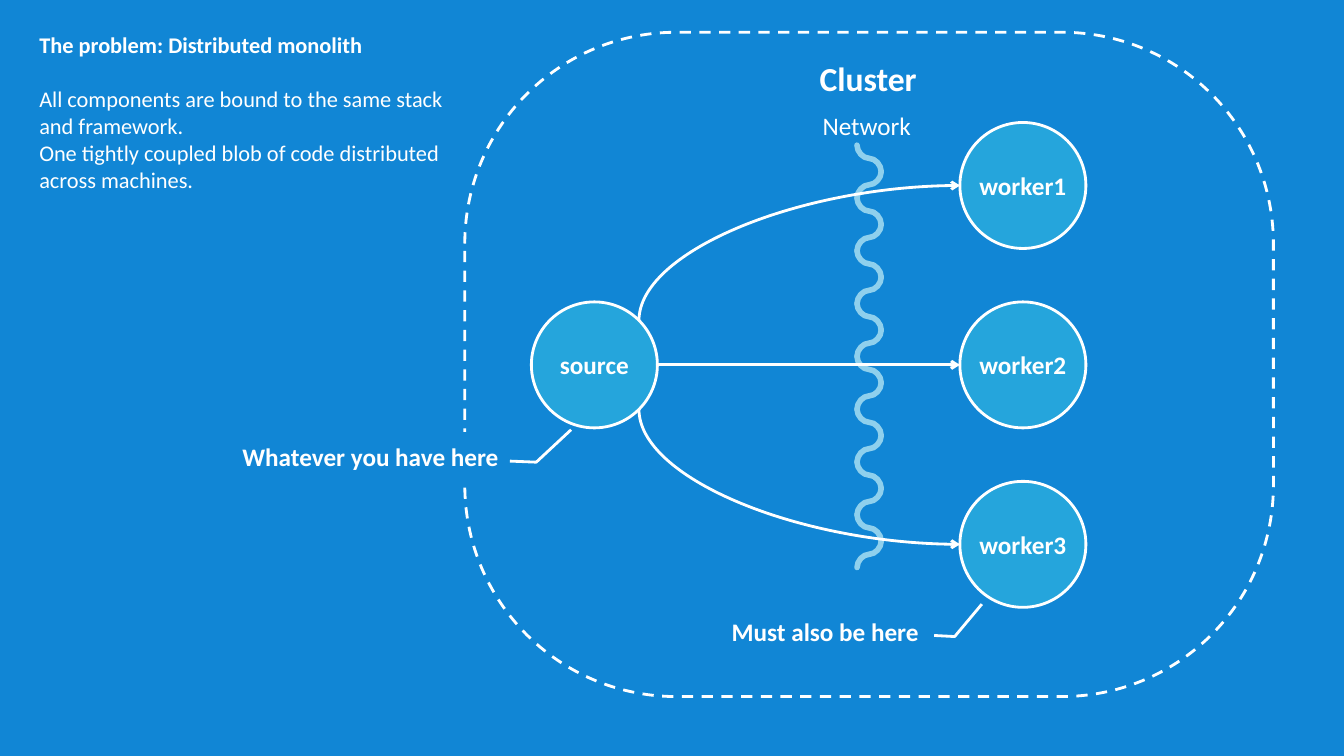
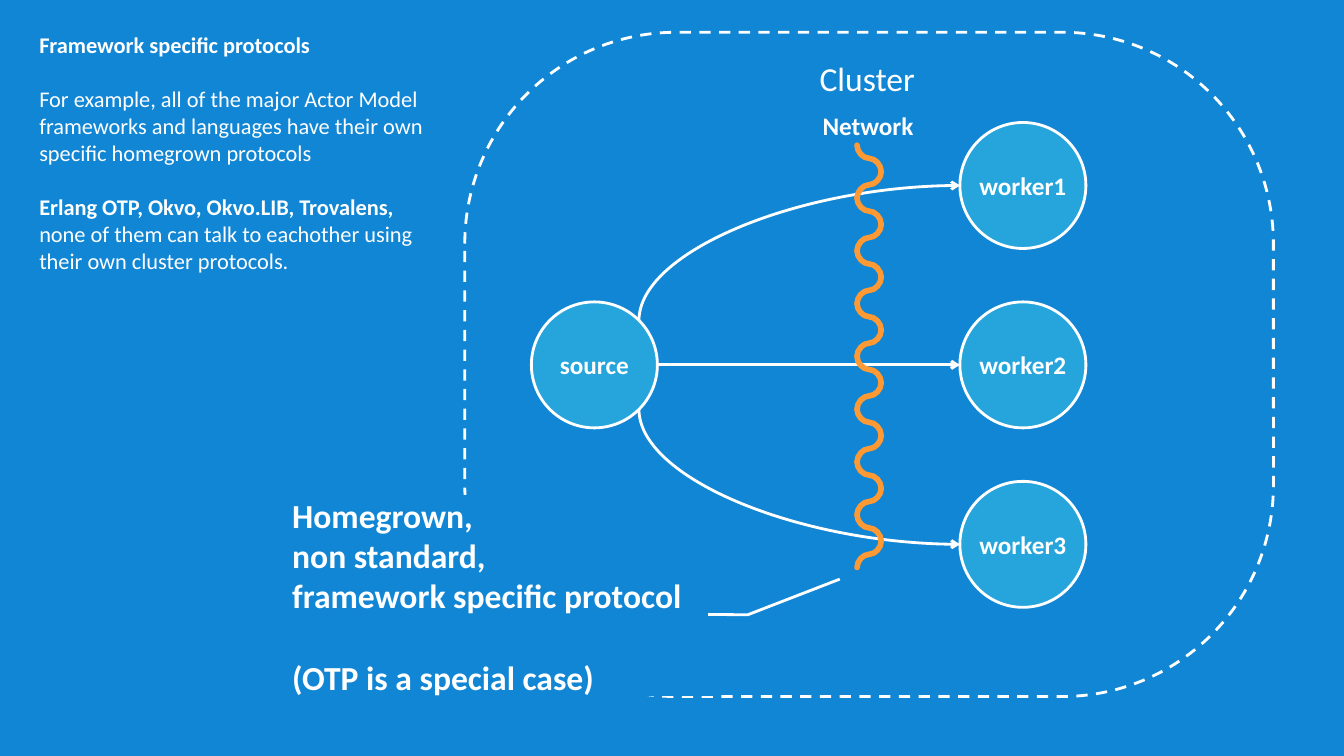
"""Two slides on cluster coupling: a distributed monolith and its framework specific protocols."""
from math import sqrt

from lxml import etree
from pptx import Presentation
from pptx.dml.color import RGBColor
from pptx.enum.dml import MSO_LINE
from pptx.enum.shapes import MSO_CONNECTOR, MSO_SHAPE
from pptx.enum.text import MSO_ANCHOR, MSO_AUTO_SIZE, PP_ALIGN
from pptx.oxml.ns import qn
from pptx.util import Inches, Pt

OVAL, ROUNDED = MSO_SHAPE.OVAL, MSO_SHAPE.ROUNDED_RECTANGLE
CALLOUT = MSO_SHAPE.LINE_CALLOUT_2_NO_BORDER
STRAIGHT, CURVE = MSO_CONNECTOR.STRAIGHT, MSO_CONNECTOR.CURVE
LEFT, CENTER, MIDDLE = PP_ALIGN.LEFT, PP_ALIGN.CENTER, MSO_ANCHOR.MIDDLE
GROW, DASH = MSO_AUTO_SIZE.SHAPE_TO_FIT_TEXT, MSO_LINE.DASH

COLORS = {"background": "1186D5", "node": "25A5DC", "white": "FFFFFF",
          "calm wave": "8FD0ED", "alert wave": "FF9933"}
FONT = "Calibri"
MARGINS = ("margin_left", "margin_top", "margin_right", "margin_bottom")
NODE_FRAME = {"vertical_anchor": MIDDLE, "word_wrap": True, **dict.fromkeys(MARGINS, 0)}
INTRO_FRAME = {"word_wrap": True, **dict.fromkeys(MARGINS, Inches(0.16))}
LABEL_FRAME = {"word_wrap": False, "auto_size": GROW}
CALLOUT_FRAME = {"vertical_anchor": MIDDLE, "word_wrap": True}

NODE = 1.25
MID_Y, ROW_PITCH = 3.62, 1.78
SOURCE_X, WORKER_X = 5.27, 9.52
DIAGONAL = NODE / 2 * sqrt(0.5)
WAVE_LEFT, WAVE_RIGHT, WAVE_TOP, WAVE_BOTTOM = 8.5, 8.74, 1.44, 5.63
WAVE_STEPS = 16
WAVE_STEP = (WAVE_BOTTOM - WAVE_TOP) / WAVE_STEPS
SITE_LEFT, SITE_LOWER_RIGHT, SITE_RIGHT, SITE_UPPER_RIGHT = 2, 5, 6, 7
DOWN_RIGHT = {"rot": 270, "flipH": 1}
DOWN_LEFT = {"rot": 90}
UP_RIGHT = {"rot": 90, "flipH": 1, "flipV": 1}


def block(slide, preset, box, frame_format, size=18, paragraphs=(), align=LEFT, fill=None):
    """Add a shape, or a text box when preset is None; a paragraph is (space before, runs)."""
    place = [Inches(length) for length in box]
    if preset is None:
        shape = slide.shapes.add_textbox(*place)
    else:
        shape = slide.shapes.add_shape(preset, *place)
        shape.shadow.inherit = False
        shape.line.color.rgb = RGBColor.from_string(COLORS["white"])
        shape.line.width = Pt(2)
        if fill:
            shape.fill.solid()
            shape.fill.fore_color.rgb = RGBColor.from_string(COLORS[fill])
        else:
            shape.fill.background()
    frame = shape.text_frame
    for name, value in frame_format.items():
        setattr(frame, name, value)
    for index, (gap, runs) in enumerate(paragraphs):
        paragraph = frame.add_paragraph() if index else frame.paragraphs[0]
        paragraph.alignment = align
        paragraph.space_before = Pt(gap)
        for text, bold in runs:
            run = paragraph.add_run()
            run.text = text
            run_format = {"name": FONT, "size": Pt(size), "bold": bold}
            for name, value in run_format.items():
                setattr(run.font, name, value)
            run.font.color.rgb = RGBColor.from_string(COLORS["white"])
    return shape


def link(shapes, start, end, color, width, turn=None, preset=None, glue=()):
    """Add a connector; a turned one leaves its start vertically, a glued one ends in an arrow."""
    (x1, y1), (x2, y2) = start, end
    if turn:
        center_x, center_y = (x1 + x2) / 2, (y1 + y2) / 2
        half_w, half_h = abs(y2 - y1) / 2, abs(x2 - x1) / 2
        x1, x2 = center_x - half_w, center_x + half_w
        y1, y2 = center_y - half_h, center_y + half_h
    line = shapes.add_connector(CURVE if turn else STRAIGHT,
                                Inches(x1), Inches(y1), Inches(x2), Inches(y2))
    line.line.color.rgb = RGBColor.from_string(COLORS[color])
    line.line.width = Pt(width)
    properties = line._element.spPr
    properties.find(qn("a:ln")).set("cap", "rnd")
    etree.SubElement(properties, qn("a:effectLst"))
    for name, value in (turn or {}).items():
        properties.find(qn("a:xfrm")).set(name, str(value * 60000 if name == "rot" else value))
    if preset:
        properties.find(qn("a:prstGeom")).set("prst", preset)
    if glue:
        etree.SubElement(properties.find(qn("a:ln")), qn("a:tailEnd"), type="arrow")
        joints = line._element.find(".//" + qn("p:cNvCxnSpPr"))
        for tag, (node, site) in zip(("a:stCxn", "a:endCxn"), glue):
            etree.SubElement(joints, qn(tag), id=str(node.shape_id), idx=str(site))


SLIDES = [
    {"wave": "calm wave", "wave in front": False, "emphasis": "Cluster",
     "intro": [(0, [("The problem: Distributed monolith", True)]),
               (19.5, [("All components are bound to the same stack and framework.", False)]),
               (0, [("One tightly coupled blob of code distributed across machines.", False)])],
     "callouts": [
         {"box": (2.26, 4.29, 2.83, 0.48), "size": 18, "align": CENTER,
          "leader": (0.593, 0.989, 0.615, 1.081, -0.056, 1.203),
          "paragraphs": [(0, [("Whatever you have here", True)])]},
         {"box": (7.08, 6.02, 2.21, 0.48), "size": 18, "align": CENTER,
          "leader": (0.593, 0.989, 0.615, 1.081, -0.056, 1.203),
          "paragraphs": [(0, [("Must also be here", True)])]}]},
    {"wave": "alert wave", "wave in front": True, "emphasis": "Network",
     "intro": [(0, [("Framework specific protocols", True)]),
               (19.5, [("For example, all of the major Actor Model frameworks and languages "
                        "have their own specific homegrown protocols", False)]),
               (19.5, [("Erlang OTP, Okvo, Okvo.LIB, Trovalens, ", True),
                       ("none of them can talk to eachother using their own cluster "
                        "protocols.", False)])],
     "callouts": [
         {"box": (2.8, 4.91, 4.27, 2), "size": 24, "align": LEFT,
          "leader": (0.593, 0.989, 0.595, 1.081, 0.418, 1.295),
          "paragraphs": [(0, [("Homegrown,", True)]),
                         (0, [("non standard,", True)]),
                         (0, [("framework specific protocol", True)]),
                         (29.3, [("(OTP is a special case)", True)])]}]},
]

deck = Presentation()
deck.slide_width, deck.slide_height = Inches(13.33), Inches(7.5)

for content in SLIDES:
    slide = deck.slides.add_slide(deck.slide_layouts[6])
    slide.background.fill.solid()
    slide.background.fill.fore_color.rgb = RGBColor.from_string(COLORS["background"])

    wave = slide.shapes.add_group_shape()
    for step in range(WAVE_STEPS):
        top = WAVE_TOP + step * WAVE_STEP
        sides = (WAVE_RIGHT, WAVE_LEFT) if step % 2 else (WAVE_LEFT, WAVE_RIGHT)
        link(wave.shapes, (sides[0], top), (sides[1], top + WAVE_STEP), content["wave"], 4,
             DOWN_LEFT if step % 2 else DOWN_RIGHT)

    nodes = {}
    for name, left, row in (("source", SOURCE_X, 0), ("worker2", WORKER_X, 0),
                            ("worker1", WORKER_X, -1), ("worker3", WORKER_X, 1)):
        top = MID_Y + row * ROW_PITCH - NODE / 2
        nodes[name] = block(slide, OVAL, (left, top, NODE, NODE), NODE_FRAME, 18,
                            [(0, [(name, True)])], CENTER, "node")

    source_center = SOURCE_X + NODE / 2
    for name, row, reach, turn, preset, site in (
            ("worker2", 0, NODE / 2, None, None, SITE_RIGHT),
            ("worker1", -1, DIAGONAL, UP_RIGHT, "curvedConnector2", SITE_UPPER_RIGHT),
            ("worker3", 1, DIAGONAL, DOWN_RIGHT, "curvedConnector2", SITE_LOWER_RIGHT)):
        link(slide.shapes, (source_center + reach, MID_Y + row * DIAGONAL),
             (WORKER_X, MID_Y + row * ROW_PITCH), "white", 2, turn, preset,
             ((nodes["source"], site), (nodes[name], SITE_LEFT)))

    cluster = block(slide, ROUNDED, (4.61, 0.32, 8.02, 6.59), {})
    cluster.adjustments[0] = 0.318
    cluster.line.dash_style = DASH

    block(slide, None, (0.23, 0.15, 4.33, 2.6), INTRO_FRAME, 16, content["intro"])
    for label, box, size in (("Cluster", (8.03, 0.53, 1.18, 0.5), 24),
                             ("Network", (8.06, 1.05, 1.11, 0.4), 18)):
        block(slide, None, box, LABEL_FRAME, size,
              [(0, [(label, label == content["emphasis"])])])

    for remark in content["callouts"]:
        callout = block(slide, CALLOUT, remark["box"], CALLOUT_FRAME, remark["size"],
                        remark["paragraphs"], remark["align"], "background")
        for index, share in enumerate(remark["leader"]):
            callout.adjustments[index] = share

    if content["wave in front"]:
        slide.shapes._spTree.append(wave._element)

deck.save("out.pptx")
